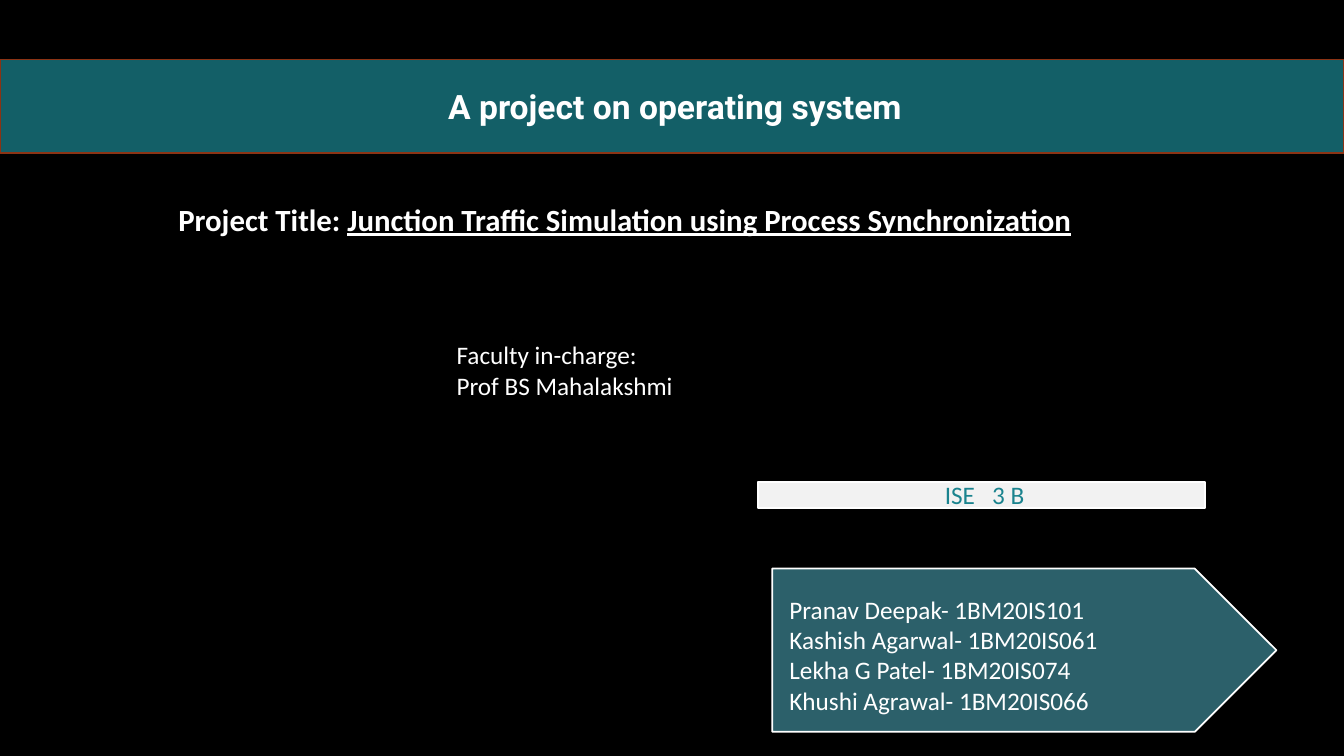
from pptx import Presentation
from pptx.dml.color import RGBColor
from pptx.enum.shapes import MSO_SHAPE
from pptx.enum.text import MSO_ANCHOR, MSO_AUTO_SIZE, PP_ALIGN
from pptx.util import Inches, Pt

WHITE = "FFFFFF"


def color(hex_code):
    return RGBColor.from_string(hex_code)


def write(shape, paragraphs, size=18, font="Calibri", ink=WHITE, bold=False,
          align=PP_ALIGN.LEFT, anchor=MSO_ANCHOR.TOP, left=0.1, top=0.05):
    """Fill a shape with paragraphs, each a list of (text, underlined) runs."""
    frame = shape.text_frame
    frame.word_wrap = True
    frame.auto_size = MSO_AUTO_SIZE.NONE
    frame.vertical_anchor = anchor
    frame.margin_left, frame.margin_top = Inches(left), Inches(top)
    for index, runs in enumerate(paragraphs):
        paragraph = frame.paragraphs[0] if index == 0 else frame.add_paragraph()
        paragraph.alignment = align
        for text, underlined in runs:
            run = paragraph.add_run()
            run.text = text
            run.font.size, run.font.name = Pt(size), font
            run.font.bold, run.font.underline = bold, underlined
            run.font.color.rgb = color(ink)


def plain(*lines):
    return [[(line, False)] for line in lines]


def paint(shape, fill, outline):
    shape.fill.solid()
    shape.fill.fore_color.rgb = color(fill)
    shape.line.color.rgb = color(outline)
    shape.line.width = Pt(1.25)


def add_panel(slide, kind, box, fill):
    panel = slide.shapes.add_shape(kind, *map(Inches, box))
    panel.shadow.inherit = False
    paint(panel, fill, WHITE)
    return panel


def add_banner(slide, box):
    banner = slide.shapes.title
    banner.left, banner.top, banner.width, banner.height = map(Inches, box)
    paint(banner, "135F67", "8B3314")
    write(banner, plain("A project on operating system"), size=24, font="Roboto",
          bold=True, align=PP_ALIGN.CENTER, anchor=MSO_ANCHOR.MIDDLE, left=0.16)


def add_project_title(slide, box):
    project = slide.shapes.add_textbox(*map(Inches, box))
    write(project, [[("Project Title: ", False),
                     ("Junction Traffic Simulation using Process Synchronization", True)]],
          size=22, bold=True)


def add_faculty(slide, box):
    faculty = slide.shapes.add_textbox(*map(Inches, box))
    write(faculty, plain("Faculty in-charge:", "Prof BS Mahalakshmi"))


def add_section(slide, box):
    section = add_panel(slide, MSO_SHAPE.RECTANGLE, box, "F2F2F2")
    write(section, plain("ISE   3 B"), ink="1A838E", align=PP_ALIGN.CENTER,
          anchor=MSO_ANCHOR.MIDDLE, left=0.16)


def add_team(slide, box):
    team = add_panel(slide, MSO_SHAPE.PENTAGON, box, "2C606A")
    write(team, plain("Pranav Deepak- 1BM20IS101", "Kashish Agarwal- 1BM20IS061",
                      "Lekha G Patel- 1BM20IS074", "Khushi Agrawal- 1BM20IS066"),
          anchor=MSO_ANCHOR.MIDDLE, left=0.17, top=0.14)


def main():
    deck = Presentation()
    deck.slide_width, deck.slide_height = Inches(13.33), Inches(7.5)
    slide = deck.slides.add_slide(deck.slide_layouts[5])
    slide.background.fill.solid()
    slide.background.fill.fore_color.rgb = color("000000")

    # Heading
    add_banner(slide, (0, 0.59, 13.33, 0.93))
    add_project_title(slide, (1.67, 1.94, 10.83, 0.47))

    # People
    add_faculty(slide, (4.43, 3.32, 5.58, 0.71))
    add_section(slide, (7.52, 4.78, 4.43, 0.26))
    add_team(slide, (7.66, 5.64, 5, 1.62))

    deck.save("out.pptx")


if __name__ == "__main__":
    main()
